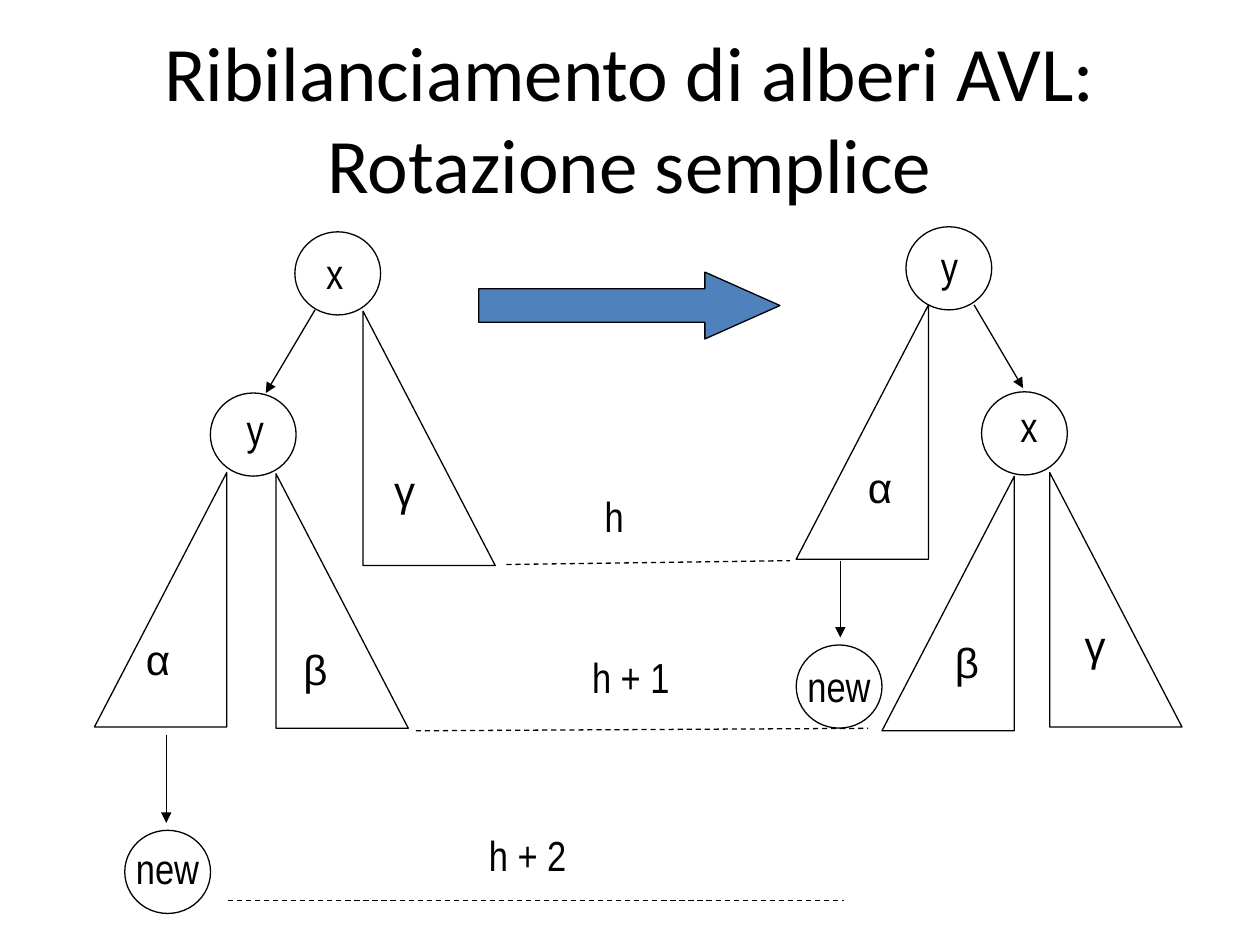
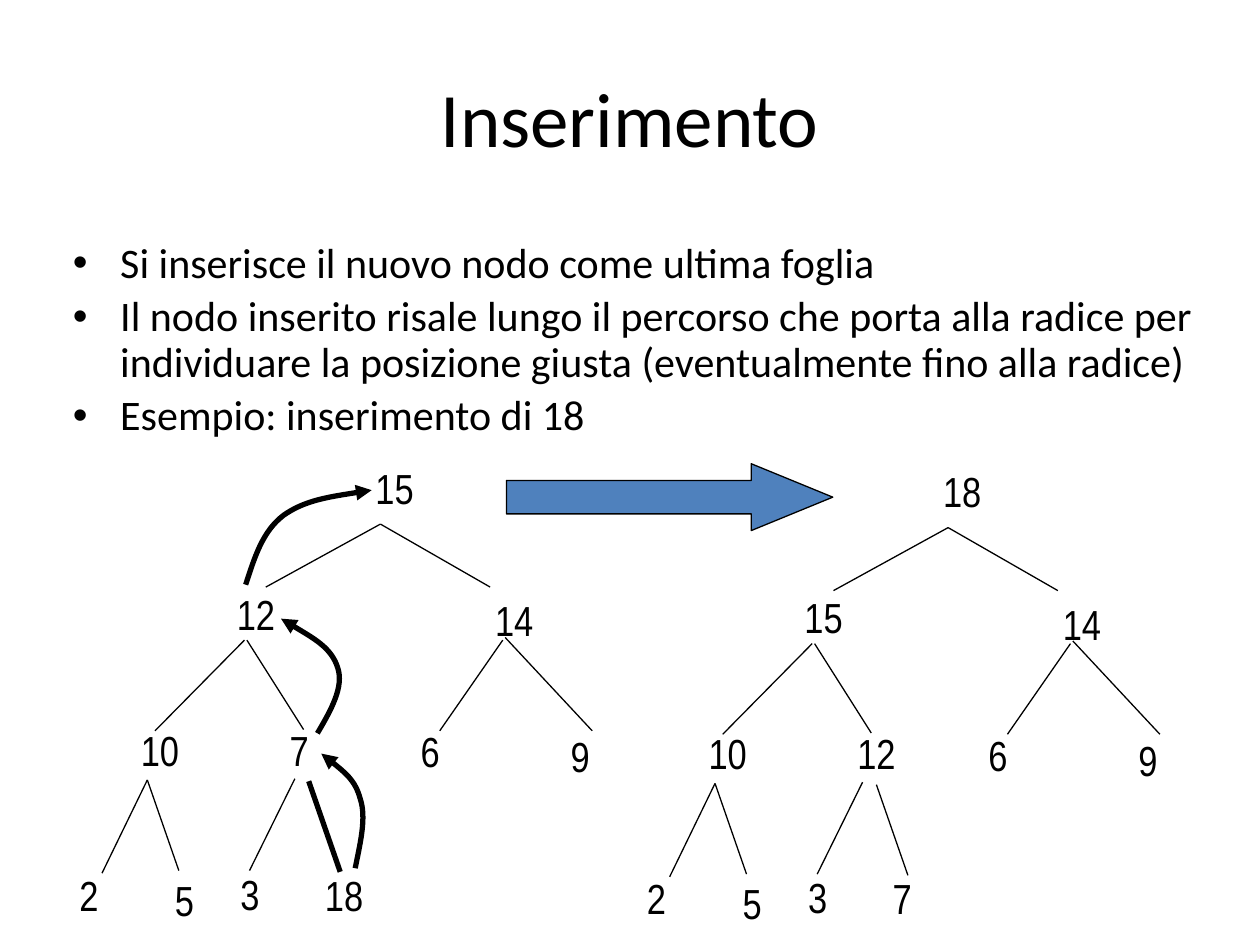
from dataclasses import dataclass

from lxml import etree
from pptx import Presentation
from pptx.dml.color import RGBColor
from pptx.enum.dml import MSO_LINE
from pptx.enum.shapes import MSO_CONNECTOR, MSO_SHAPE
from pptx.enum.text import MSO_ANCHOR, MSO_AUTO_SIZE, PP_ALIGN
from pptx.oxml.ns import qn
from pptx.util import Pt


@dataclass(frozen=True)
class Theme:
    ink: RGBColor = RGBColor(0, 0, 0)
    arrow: RGBColor = RGBColor(0x4F, 0x81, 0xBD)
    title_size: float = 44
    text_size: float = 24
    thin: float = 0.75
    thick: float = 3
    text_font: str = "Calibri"
    label_font: str = "Arial Narrow"
    greek_font: str = "Arial"


THEME = Theme()
NODE = (49, 47.5)
SUBTREE = (75.6, 145.4)
LABEL_HEIGHT = 36
LABEL_WIDTHS = {"α": 29.5, "β": 27.4, "γ": 24.5, "x": 24.5, "y": 24.5,
                "new": 50.4, "h": 25.2, "h + 1": 59, "h + 2": 59}

# Slide 2: label corners and branches of the example tree
TREE_LABELS = [(207.4, 260.6), (128.2, 332.6), (275.8, 336.2), (73.4, 410.4),
               (158.4, 410.4), (233.3, 411.1), (319, 414), (38.2, 493.2),
               (92.9, 496.1), (130.3, 492.5), (178.6, 493.2)]
TREE_BRANCHES = [(217.4, 299.5, 151.9, 335.5), (217.4, 299.5, 280.1, 335.5),
                 (139.7, 365.8, 88.6, 417.6), (141.1, 365.8, 173.5, 416.9),
                 (287.3, 365.8, 251.3, 417.6), (288.7, 364.3, 338.4, 417.6),
                 (84.2, 445.7, 58.3, 499), (84.2, 445.7, 102.2, 497.5),
                 (168.5, 445, 142.6, 497.5), (176.4, 446.4, 194.4, 498.2)]
BEFORE = [15, 12, 14, 10, 7, 6, 9, 2, 5, 3, 18]
AFTER = [18, 15, 14, 10, 12, 6, 9, 2, 5, 3, 7]
AFTER_OFFSET = (324.4, 2)

# Path of the new node: start, then two cubic curves of three points each
CLIMB = [
    [(203, 496.1), (205.9, 481.7), (209.5, 467.3), (205.9, 456.5),
     (203, 445.7), (193, 437.8), (183.6, 430.6)],
    [(181.4, 419), (189.4, 405.4), (196.6, 392.4), (193, 381.6),
     (189.4, 370.1), (175, 362.2), (160.6, 353.5)],
    [(140.4, 334.1), (145.4, 319), (149.8, 303.8), (162, 294.5),
     (174.2, 285.8), (193.7, 283), (212.4, 280.1)],
]


# Text
def add_run(paragraph, text, size, font):
    run = paragraph.add_run()
    run.text = text
    run.font.size = Pt(size)
    run.font.name = font
    run.font.color.rgb = THEME.ink


def add_label(shapes, text, left, top):
    width = LABEL_WIDTHS.get(text, 13.7 + 11.5 * len(text))
    box = shapes.add_textbox(Pt(left), Pt(top), Pt(width), Pt(LABEL_HEIGHT))
    box.text_frame.word_wrap = False
    box.text_frame.auto_size = MSO_AUTO_SIZE.SHAPE_TO_FIT_TEXT
    font = THEME.greek_font if text in "αβγ" else THEME.label_font
    add_run(box.text_frame.paragraphs[0], text, THEME.text_size, font)


def add_bullets(shapes, items):
    box = shapes.add_textbox(Pt(34.6), Pt(134.6), Pt(656.6), Pt(118.8))
    frame = box.text_frame
    frame.word_wrap = True
    for index, item in enumerate(items):
        paragraph = frame.add_paragraph() if index else frame.paragraphs[0]
        paragraph.line_spacing = 0.9
        paragraph.space_before = Pt(THEME.text_size * 0.2)
        properties = paragraph._p.get_or_add_pPr()
        properties.set("marL", str(Pt(27)))
        properties.set("indent", str(Pt(-27)))
        etree.SubElement(properties, qn("a:buFont"), typeface="Arial")
        etree.SubElement(properties, qn("a:buChar"), char="•")
        add_run(paragraph, item, THEME.text_size, THEME.text_font)


def add_titled_slide(presentation, text):
    slide = presentation.slides.add_slide(presentation.slide_layouts[5])
    title = slide.shapes.title
    title.left, title.top, title.width, title.height = map(Pt, (36, 21.6, 648, 90))
    title.text_frame.vertical_anchor = MSO_ANCHOR.MIDDLE
    paragraph = title.text_frame.paragraphs[0]
    paragraph.alignment = PP_ALIGN.CENTER
    add_run(paragraph, text, THEME.title_size, THEME.text_font)
    return slide


# Lines and outlines
def style_line(line, width=THEME.thin):
    line.color.rgb = THEME.ink
    line.width = Pt(width)


def add_arrowhead(shape):
    etree.SubElement(shape.line._get_or_add_ln(), qn("a:tailEnd"), type="triangle")


def add_line(shapes, start_x, start_y, end_x, end_y, width=THEME.thin,
             dashed=False, arrow=False):
    line = shapes.add_connector(MSO_CONNECTOR.STRAIGHT, Pt(start_x), Pt(start_y),
                                Pt(end_x), Pt(end_y))
    style_line(line.line, width)
    if dashed:
        line.line.dash_style = MSO_LINE.DASH
    if arrow:
        add_arrowhead(line)
    etree.SubElement(line._element.spPr, qn("a:effectLst"))


def add_outline(shapes, kind, left, top, size):
    shape = shapes.add_shape(kind, Pt(left), Pt(top), Pt(size[0]), Pt(size[1]))
    shape.shadow.inherit = False
    shape.fill.background()
    style_line(shape.line)
    return shape


def add_node(shapes, left, top):
    add_outline(shapes, MSO_SHAPE.OVAL, left, top, NODE)


def add_subtree(shapes, left, top, mirrored=False):
    triangle = add_outline(shapes, MSO_SHAPE.RIGHT_TRIANGLE, left, top, SUBTREE)
    if mirrored:
        triangle._element.spPr.find(qn("a:xfrm")).set("flipH", "1")


def add_block_arrow(shapes, left, top, width, head):
    arrow = add_outline(shapes, MSO_SHAPE.RIGHT_ARROW, left, top, (width, 38.2))
    arrow.adjustments[0] = 0.5
    arrow.adjustments[1] = head
    arrow.fill.solid()
    arrow.fill.fore_color.rgb = THEME.arrow


def add_curved_arrow(shapes, points):
    start, *rest = [(Pt(x), Pt(y)) for x, y in points]
    builder = shapes.build_freeform(*start)
    builder.add_line_segments(rest, close=False)
    curve = builder.convert_to_shape()
    curve.shadow.inherit = False
    curve.fill.background()
    style_line(curve.line, THEME.thick)
    add_arrowhead(curve)
    # Turn every three straight segments into one cubic curve
    segments = list(curve._element.iter(qn("a:lnTo")))
    outline = segments[0].getparent()
    for index in range(0, len(segments), 3):
        cubic = etree.SubElement(outline, qn("a:cubicBezTo"))
        for segment in segments[index:index + 3]:
            cubic.append(segment[0])
            outline.remove(segment)


# Diagrams
def add_rotation_tree(slide, nodes, subtrees, arrows, labels):
    shapes = slide.shapes.add_group_shape().shapes
    for node in nodes:
        add_node(shapes, *node)
    for subtree in subtrees:
        add_subtree(shapes, *subtree)
    for arrow in arrows:
        add_line(shapes, *arrow, arrow=True)
    for label in labels:
        add_label(shapes, *label)


def add_heights(slide):
    shapes = slide.shapes.add_group_shape().shapes
    for line in [(289.4, 322.6, 451.4, 320.4), (237.6, 417.6, 496.1, 416.2),
                 (130.3, 514.8, 482.4, 514.8)]:
        add_line(shapes, *line, dashed=True)
    for label in [("h", 338.4, 276.5), ("h + 1", 331.2, 368.6),
                  ("h + 2", 272.2, 470.2)]:
        add_label(shapes, *label)


def add_number_tree(slide, values, offset=(0, 0), new_branch=THEME.thin):
    shapes = slide.shapes.add_group_shape().shapes
    dx, dy = offset
    for value, (left, top) in zip(values, TREE_LABELS):
        add_label(shapes, str(value), left + dx, top + dy)
    for branch in TREE_BRANCHES:
        start_x, start_y, end_x, end_y = branch
        width = new_branch if branch == TREE_BRANCHES[-1] else THEME.thin
        add_line(shapes, start_x + dx, start_y + dy, end_x + dx, end_y + dy, width)


# Slides
def build_rotation_slide(presentation):
    slide = add_titled_slide(
        presentation, "Ribilanciamento di alberi AVL: Rotazione semplice")
    add_rotation_tree(
        slide,
        nodes=[(168.5, 132.5), (120.2, 224.6), (71.3, 474.5)],
        subtrees=[(54, 270, True), (157.7, 270.7), (207.4, 177.8)],
        arrows=[(180, 177.1, 151.9, 224.6), (95, 419.8, 95, 470.2)],
        labels=[("x", 179.3, 138.2), ("y", 133.9, 226.8), ("new", 70.6, 478.1),
                ("α", 76.3, 358.6), ("β", 166.3, 364.3), ("γ", 218.2, 262.1)])
    add_rotation_tree(
        slide,
        nodes=[(517.7, 129.6), (560.9, 223.9), (455, 368.6)],
        subtrees=[(455, 174.2, True), (599.8, 270), (504, 272.2, True)],
        arrows=[(556.6, 174.2, 584.6, 221.8), (480.2, 320.4, 480.2, 364.3)],
        labels=[("y", 530.6, 133.9), ("x", 576, 225.4), ("new", 454.3, 373.7),
                ("α", 488.9, 259.9), ("β", 538.6, 360), ("γ", 612.7, 350.6)])
    add_heights(slide)
    add_block_arrow(slide.shapes, 273.6, 155.5, 172.1, 1.123)


def build_insertion_slide(presentation):
    slide = add_titled_slide(presentation, "Inserimento")
    add_bullets(slide.shapes, [
        "Si inserisce il nuovo nodo come ultima foglia",
        "Il nodo inserito risale lungo il percorso che porta alla radice per "
        "individuare la posizione giusta (eventualmente fino alla radice)",
        "Esempio: inserimento di 18"])
    add_number_tree(slide, BEFORE, new_branch=THEME.thick)
    for points in CLIMB:
        add_curved_arrow(slide.shapes, points)
    add_block_arrow(slide.shapes, 289.4, 265, 186.5, 1.219)
    add_number_tree(slide, AFTER, AFTER_OFFSET)


def main():
    presentation = Presentation()
    presentation.slide_width = Pt(720)
    presentation.slide_height = Pt(540)
    build_rotation_slide(presentation)
    build_insertion_slide(presentation)
    presentation.save("out.pptx")


main()
